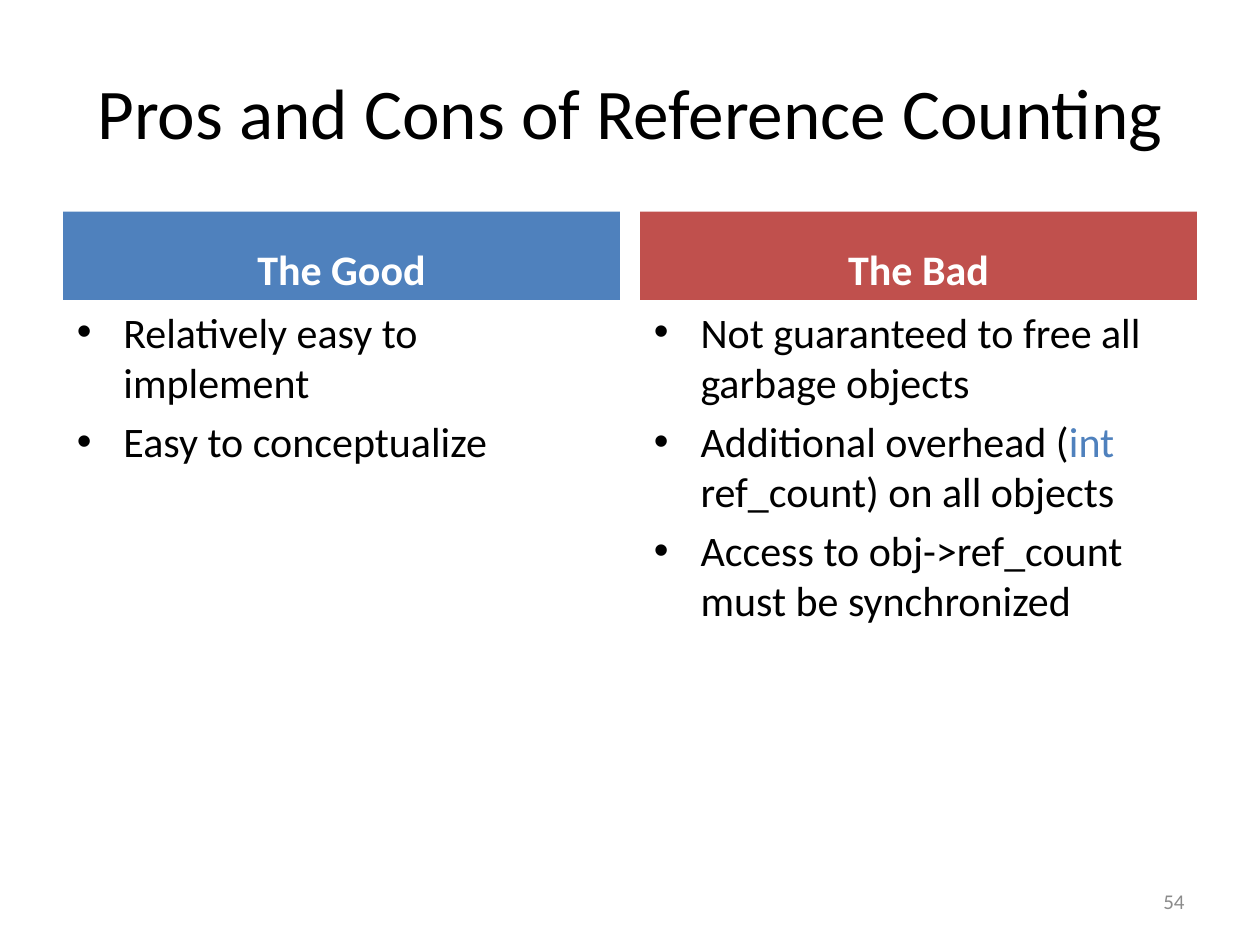
from lxml.etree import SubElement
from pptx import Presentation
from pptx.dml.color import RGBColor as RGB
from pptx.enum.text import MSO_ANCHOR as ANCHOR, MSO_AUTO_SIZE as AUTO, PP_ALIGN as ALIGN
from pptx.oxml.ns import qn
from pptx.util import Inches, Pt

COLORS = {"text": "000000", "white": "FFFFFF", "good": "4F81BD",
          "bad": "C0504D", "keyword": "4F81BD", "number": "8B8B8B"}
MARGIN, COL_W, COL_STEP = 0.5, 4.42, 4.58
HEAD_TOP, HEAD_H, LIST_H = 1.68, 0.7, 4.32

GOOD = ["Relatively easy to implement", "Easy to conceptualize"]
BAD = ["Not guaranteed to free all garbage objects",
       [("Additional overhead (", "text"), ("int ", "keyword"),
        ("ref_count) on all objects", "text")],
       "Access to obj->ref_count must be synchronized"]


def place(sp, left, top, width, height):
    sp.left, sp.top, sp.width, sp.height = map(Inches, (left, top, width, height))


def add_bullet(p):
    pPr = p._p.get_or_add_pPr()
    pPr.set("marL", str(Inches(0.38)))
    pPr.set("indent", str(Inches(-0.37)))
    SubElement(pPr, qn("a:buFont"), typeface="Arial")
    SubElement(pPr, qn("a:buChar"), char="•")


def write(sp, paragraphs, size=24, color="text", bold=False, align=ALIGN.LEFT,
          anchor=ANCHOR.TOP, spacing=1.0, bullets=False):
    tf = sp.text_frame
    tf.word_wrap, tf.auto_size, tf.vertical_anchor = True, AUTO.NONE, anchor
    for i, content in enumerate(paragraphs):
        p = tf.add_paragraph() if i else tf.paragraphs[0]
        if bullets:
            add_bullet(p)
        p.alignment, p.line_spacing = align, spacing
        p.space_before = Pt(4.8 if i else 0)
        runs = [(content, color)] if isinstance(content, str) else content
        for text, name in runs:
            r = p.add_run()
            r.text = text
            r.font.name, r.font.size, r.font.bold = "Calibri", Pt(size), bold
            r.font.color.rgb = RGB.from_string(COLORS[name])


def add_title(s, text):
    place(s.shapes.title, MARGIN, 0.3, 9, 1.25)
    write(s.shapes.title, [text], size=40.7, align=ALIGN.CENTER,
          anchor=ANCHOR.MIDDLE, spacing=0.9)


def add_column(s, col, heading, fill, items):
    head, body = (s.placeholders[2 * col + n] for n in (1, 2))
    left = MARGIN + col * COL_STEP
    place(head, left, HEAD_TOP, COL_W, HEAD_H)
    head.fill.solid()
    head.fill.fore_color.rgb = RGB.from_string(COLORS[fill])
    write(head, [heading], color="white", bold=True, align=ALIGN.CENTER,
          anchor=ANCHOR.BOTTOM)
    place(body, left, HEAD_TOP + HEAD_H, COL_W, LIST_H)
    write(body, items, bullets=True)


def add_page_number(s, number):
    sp = s.shapes.add_textbox(0, 0, 0, 0)
    place(sp, 7.17, 6.95, 2.33, 0.4)
    write(sp, [number], size=12, color="number", align=ALIGN.RIGHT,
          anchor=ANCHOR.MIDDLE)


def main():
    prs = Presentation()
    prs.slide_width, prs.slide_height = Inches(10), Inches(7.5)
    s = prs.slides.add_slide(prs.slide_layouts.get_by_name("Comparison"))
    add_title(s, "Pros and Cons of Reference Counting")
    add_column(s, 0, "The Good", "good", GOOD)
    add_column(s, 1, "The Bad", "bad", BAD)
    add_page_number(s, "54")
    prs.save("out.pptx")


if __name__ == "__main__":
    main()
